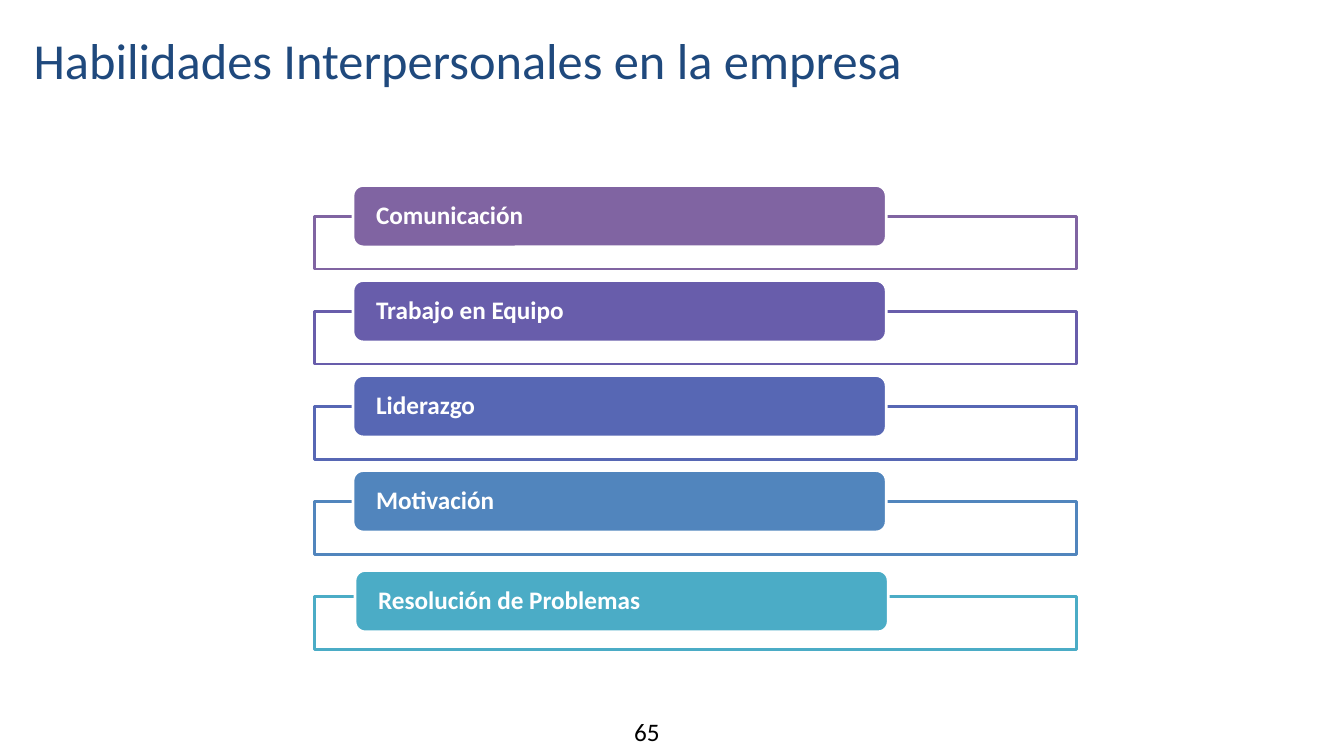
from dataclasses import dataclass

from lxml.etree import SubElement as Sub
from pptx import Presentation as Deck
from pptx.dml.color import RGBColor as Color
from pptx.enum.shapes import MSO_SHAPE as Shape
from pptx.enum.text import MSO_ANCHOR as Anchor, PP_ALIGN as Align
from pptx.oxml.ns import qn
from pptx.util import Inches, Pt

WIDE, HIGH = Inches(13.33), Inches(7.5)
STEP = 12.57


@dataclass(frozen=True)
class Theme:
    """Hold the colours and type sizes of the slide."""
    font: str = "Calibri"
    head: int = 36
    body: int = 18
    line: int = 2
    navy: str = "1F497D"
    black: str = "000000"
    white: str = "FFFFFF"


LOOK = Theme()
SKILLS = [
    ("Comunicación", "8064A2"),
    ("Trabajo en Equipo", "685DAB"),
    ("Liderazgo", "5767B4"),
    ("Motivación", "5185BD"),
    ("Resolución de Problemas", "4BACC6"),
]


def place(x, y, w, h):
    """Turn percent shares of the slide into lengths."""
    return [int(side * part / 100) for side, part in zip((WIDE, HIGH) * 2, (x, y, w, h))]


def write(shape, text, size=LOOK.body, color=LOOK.black, bold=False, align=Align.LEFT,
          anchor=Anchor.TOP, pad=(0.1, 0.05), wrap=True, lead=None):
    """Put one formatted paragraph in a shape."""
    frame = shape.text_frame
    frame.word_wrap = wrap
    frame.vertical_anchor = anchor
    frame.margin_left = frame.margin_right = Inches(pad[0])
    frame.margin_top = frame.margin_bottom = Inches(pad[1])
    para = frame.paragraphs[0]
    para.alignment = align
    para.line_spacing = lead
    run = para.add_run()
    run.text = text
    font = run.font
    font.name, font.size, font.bold = LOOK.font, Pt(size), bold
    font.color.rgb = Color.from_string(color)


def label(slide, spot, text, **form):
    """Add a plain text box."""
    write(slide.shapes.add_textbox(*place(*spot)), text, **form)


def block(slide, kind, spot, fill, line):
    """Add a filled and outlined shape."""
    shape = slide.shapes.add_shape(kind, *place(*spot))
    shape.shadow.inherit = False
    shape.fill.solid()
    shape.fill.fore_color.rgb = Color.from_string(fill)
    shape.line.color.rgb = Color.from_string(line)
    shape.line.width = Pt(LOOK.line)
    return shape


def fade(shape, share):
    """Set the opacity of a solid fill in percent."""
    tint = shape.fill._xPr.find(qn("a:solidFill"))[0]
    Sub(tint, qn("a:alpha"), val=str(share * 1000))


def skill(slide, row, text, color, dx=0, dy=0):
    """Add one open frame with its named bar."""
    top = row * STEP
    frame = block(slide, Shape.RECTANGLE, (23.41, 28.67 + top, 56.71, 6.93), LOOK.white, color)
    fade(frame, 90)
    spot = (26.26 + dx, 24.53 + top + dy, 39.68, 8.13)
    bar = block(slide, Shape.ROUNDED_RECTANGLE, spot, color, LOOK.white)
    write(bar, text, color=LOOK.white, bold=True, anchor=Anchor.MIDDLE, pad=(0.2, 0), lead=0.9)


def main():
    """Build and save the slide."""
    deck = Deck()
    deck.slide_width, deck.slide_height = WIDE, HIGH
    slide = deck.slides.add_slide(deck.slide_layouts[6])
    label(slide, (46.44, 94.13, 4.8, 5.33), "65", wrap=False)
    label(slide, (-14.4, 3.87, 98.42, 8.13), "Habilidades Interpersonales en la empresa",
          size=LOOK.head, color=LOOK.navy, align=Align.CENTER, pad=(0, 0))
    last = len(SKILLS) - 1
    for row, (text, color) in enumerate(SKILLS):
        shift = (0.15, 0.64) if row == last else (0, 0)
        skill(slide, row, text, color, *shift)
    deck.save("out.pptx")


if __name__ == "__main__":
    main()
